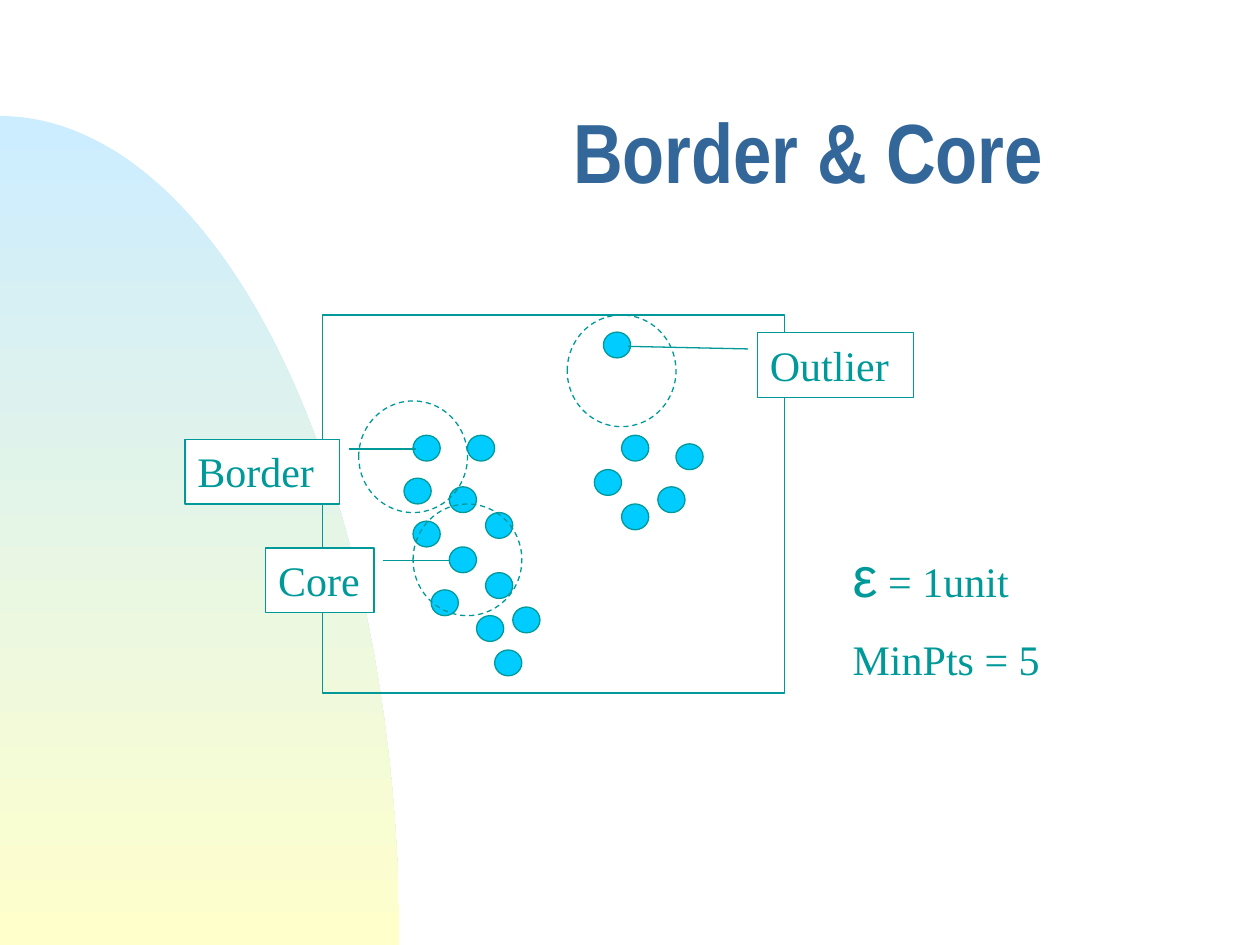
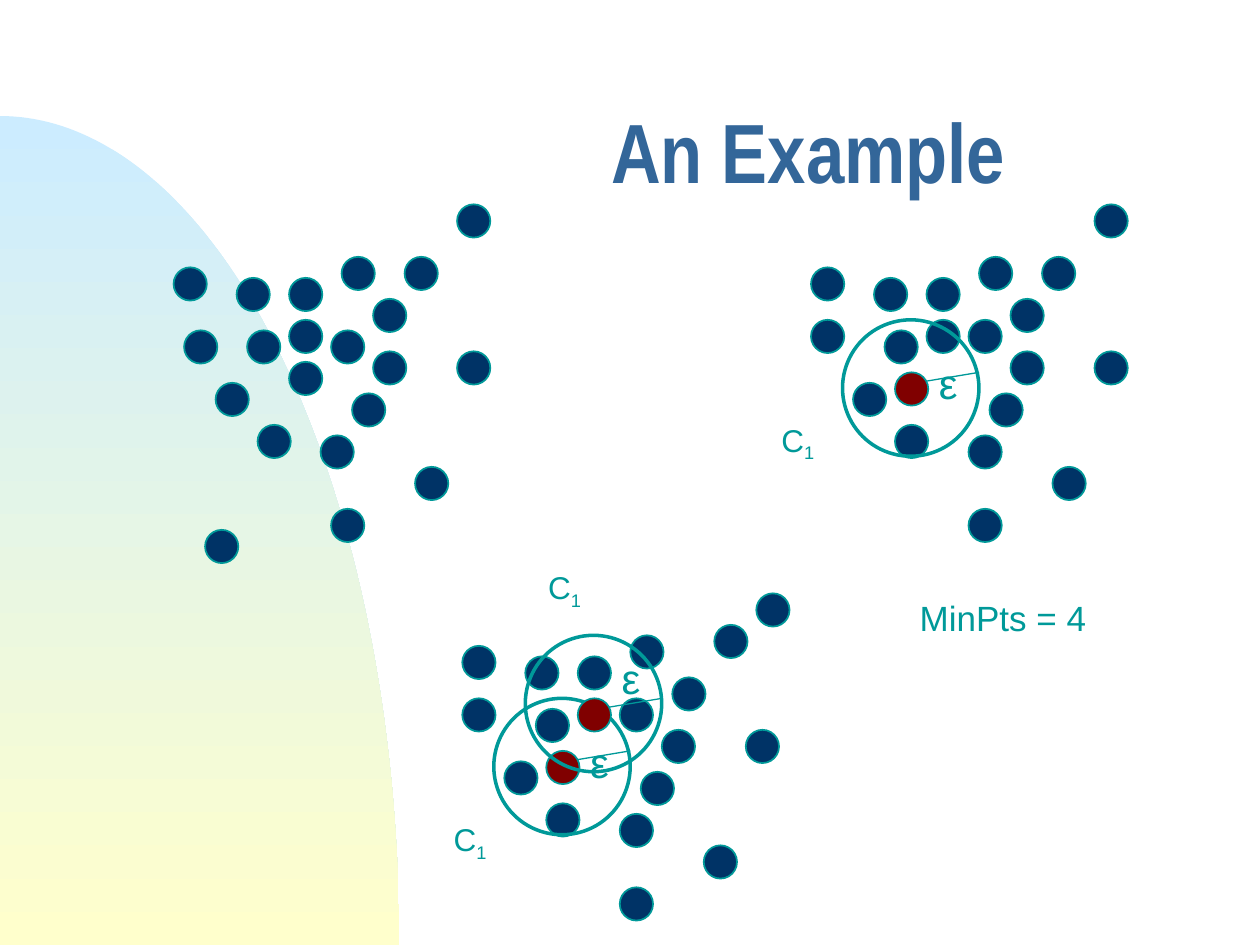
from math import cos, pi, sin

from lxml import etree
from pptx import Presentation
from pptx.dml.color import RGBColor
from pptx.enum.dml import MSO_LINE
from pptx.enum.shapes import MSO_CONNECTOR, MSO_SHAPE
from pptx.enum.text import MSO_ANCHOR, MSO_AUTO_SIZE, PP_ALIGN
from pptx.oxml.ns import qn
from pptx.util import Cm, Pt

DASH = MSO_LINE.DASH
STRAIGHT = MSO_CONNECTOR.STRAIGHT
ELLIPSE = MSO_SHAPE.OVAL
RECTANGLE = MSO_SHAPE.RECTANGLE
CALLOUT = MSO_SHAPE.LINE_CALLOUT_1
TOP, MIDDLE = MSO_ANCHOR.TOP, MSO_ANCHOR.MIDDLE
LEFT, CENTER = PP_ALIGN.LEFT, PP_ALIGN.CENTER
NO_FIT = MSO_AUTO_SIZE.NONE

COLORS = {
    "title": "336699",
    "teal": "009999",
    "sky": "00CCFF",
    "navy": "003366",
    "red": "800000",
    "white": "FFFFFF",
    "panel_top": "CCECFF",
    "panel_bottom": "FFFFCC",
}
RGB = {name: RGBColor.from_string(value) for name, value in COLORS.items()}
TITLE_FRAME = {"vertical_anchor": MIDDLE, "auto_size": NO_FIT, "word_wrap": True}
TITLE_FONT = {"name": "Arial Narrow", "size": Pt(48), "bold": True}
TITLE_BOX = {"left": Cm(7.83), "top": Cm(1.69), "width": Cm(16.93), "height": Cm(3.18)}
TEXT_FRAME = {"vertical_anchor": TOP, "auto_size": NO_FIT, "word_wrap": True}
SERIF_24 = {"name": "Times New Roman", "size": Pt(24)}
EPSILON = {"name": "Arial", "size": Pt(24)}
CLUSTER = {"name": "Arial", "size": Pt(18)}


def draw(shapes, kind, box, fill, weight):
    shape = shapes.add_shape(kind, *(round(v) for v in box))
    shape.shadow.inherit = False
    if fill:
        shape.fill.solid()
        shape.fill.fore_color.rgb = RGB[fill]
    else:
        shape.fill.background()
    shape.line.color.rgb = RGB["teal"]
    shape.line.width = Pt(weight)
    return shape


def write(shape, paragraphs):
    frame = shape.text_frame
    for name, value in TEXT_FRAME.items():
        setattr(frame, name, value)
    for index, (space, runs) in enumerate(paragraphs):
        paragraph = frame.add_paragraph() if index else frame.paragraphs[0]
        paragraph.alignment = LEFT
        paragraph.space_before = Pt(space)
        for text, font in runs:
            run = paragraph.add_run()
            run.text = text
            run.font.color.rgb = RGB["teal"]
            for name, value in font.items():
                setattr(run.font, name, value)
    return frame


prs = Presentation()
prs.slide_width, prs.slide_height = Cm(25.4), Cm(19.05)
title_only = prs.slide_layouts[5]

slides = []
for heading in ("Border & Core", "An Example"):
    slide = prs.slides.add_slide(title_only)
    title = slide.shapes.title
    for name, value in TITLE_BOX.items():
        setattr(title, name, value)
    title.text = heading
    for name, value in TITLE_FRAME.items():
        setattr(title.text_frame, name, value)
    paragraph = title.text_frame.paragraphs[0]
    paragraph.alignment = CENTER
    paragraph.line_spacing = 0.7
    font = paragraph.runs[0].font
    font.color.rgb = RGB["title"]
    for name, value in TITLE_FONT.items():
        setattr(font, name, value)
    slides.append(slide)

border_core, example = slides

panel_width, panel_height = Cm(8.05), Cm(16.71)
bottom = prs.slide_height
arc = [
    (round(panel_width * sin(i * pi / 180)), round(bottom - panel_height * cos(i * pi / 180)))
    for i in range(91)
]
outline = border_core.shapes.build_freeform(*arc[0])
outline.add_line_segments(arc[1:] + [(0, bottom)], close=True)
panel = outline.convert_to_shape()
panel.shadow.inherit = False
panel.line.fill.background()
panel.fill.gradient()
panel.fill.gradient_angle = 270
for stop, shade, position in zip(panel.fill.gradient_stops, ("panel_top", "panel_bottom"), (0, 1)):
    stop.color.rgb = RGB[shade]
    stop.position = position
title_only.shapes.element.append(panel.element)

plot_left, plot_top, plot_width, plot_height = Cm(6.5), Cm(6.35), Cm(9.32), Cm(7.62)
col, row = plot_width / 51, plot_height / 44
sky_points = [
    (10, 14), (9, 19), (14, 20), (16, 14), (18, 23), (10, 24), (14, 27), (12, 32),
    (17, 35), (19, 39), (18, 30), (31, 2), (33, 14), (30, 18), (37, 20), (39, 15),
    (33, 22), (21, 34),
]
for x, y in sky_points:
    box = plot_left + x * col, plot_top + y * row, 3 * col, 3 * row
    draw(border_core.shapes, ELLIPSE, box, "sky", 0.75)
plot_box = plot_left, plot_top, plot_width, plot_height
draw(border_core.shapes, RECTANGLE, plot_box, None, 0.75)
for x, y in [(4, 10), (10, 22), (27, 0)]:
    box = plot_left + x * col, plot_top + y * row, 12 * col, 13 * row
    neighborhood = draw(border_core.shapes, ELLIPSE, box, None, 0.75)
    neighborhood.line.dash_style = DASH

callouts = [
    ("Core", 5.36, 11.05, 2.18, (0.19, 1.08, 0.19, 1.69)),
    ("Border", 3.73, 8.86, 3.12, (0.15, 1.06, 0.15, 1.49)),
    ("Outlier", 15.27, 6.71, 3.15, (0.25, -0.06, 0.21, -0.83)),
]
for label, left, top, width, pointer in callouts:
    box = Cm(left), Cm(top), Cm(width), Cm(1.3)
    callout = draw(border_core.shapes, CALLOUT, box, "white", 0.75)
    for index, value in enumerate(pointer):
        callout.adjustments[index] = value
    write(callout, [(0, [(label, SERIF_24)])])

parameters = border_core.shapes.add_textbox(Cm(16.94), Cm(10.8), Cm(4.57), Cm(3.12))
write(parameters, [
    (3, [("ε", {"name": "Arial", "size": Pt(32)}), (" = 1unit", SERIF_24)]),
    (14, [("MinPts = 5", SERIF_24)]),
])

min_points = example.shapes.add_textbox(Cm(18.29), Cm(11.91), Cm(4.45), Cm(1.12))
write(min_points, [(2, [("MinPts = 4", {"name": "Arial", "size": Pt(20)})])])

unit = Cm(2.54) / 12
dot_size, circle_size = Cm(0.67), Cm(2.75)
shared_points = [(6, 7), (7, 12), (11, 7), (4, 17), (8, 21), (16, 5), (19, 14),
                 (17, 18), (0, 6), (27, 14), (23, 25), (15, 29)]
scatters = [
    {
        "origin": (3.5, 4.12),
        "points": shared_points + [
            (11, 11), (15, 12), (19, 9), (11, 15), (1, 12), (14, 22), (22, 5), (3, 31), (27, 0)],
        "cores": [],
        "labels": [],
    },
    {
        "origin": (16.35, 4.12),
        "points": shared_points + [
            (11, 11), (15, 11), (19, 9), (0, 11), (15, 22), (22, 5), (27, 0)],
        "cores": [(8, 16, -5, -2)],
        "labels": [(-4, 20)],
    },
    {
        "origin": (9.32, 11.75),
        "points": shared_points + [(15, 11), (20, 9), (0, 11), (15, 22), (24, 4), (28, 1)],
        "cores": [(8, 16, -5, -2), (11, 11, -6, -5)],
        "labels": [(-2, 22), (7, -2)],
    },
]
for scatter in scatters:
    left, top = (Cm(v) for v in scatter["origin"])
    group = example.shapes.add_group_shape().shapes
    for x, y in scatter["points"]:
        box = left + x * unit, top + y * unit, dot_size, dot_size
        draw(group, ELLIPSE, box, "navy", 1)
    for x, y, circle_rise, epsilon_rise in scatter["cores"]:
        core_x, core_y = left + x * unit, top + y * unit
        box = core_x - 5 * unit, core_y + circle_rise * unit, circle_size, circle_size
        draw(group, ELLIPSE, box, None, 2)
        ends = core_x + 2 * unit, core_y + unit, core_x + 8 * unit, core_y
        radius = group.add_connector(STRAIGHT, *(round(v) for v in ends))
        radius.line.color.rgb = RGB["teal"]
        radius.line.width = Pt(0.75)
        etree.SubElement(radius.element.spPr, qn("a:effectLst"))
        draw(group, ELLIPSE, (core_x, core_y, dot_size, dot_size), "red", 1)
        box = core_x + 3 * unit, core_y + epsilon_rise * unit, dot_size, 6 * unit
        epsilon = group.add_textbox(*(round(v) for v in box))
        write(epsilon, [(0, [("ε", EPSILON)])])
    for x, y in scatter["labels"]:
        box = left + x * unit, top + y * unit, 7 * unit, 5 * unit
        cluster = group.add_textbox(*(round(v) for v in box))
        frame = write(cluster, [(1, [("C", CLUSTER), ("1", CLUSTER)])])
        subscript = frame.paragraphs[0].runs[1].font
        subscript._rPr.set("baseline", "-25000")

prs.save("out.pptx")
